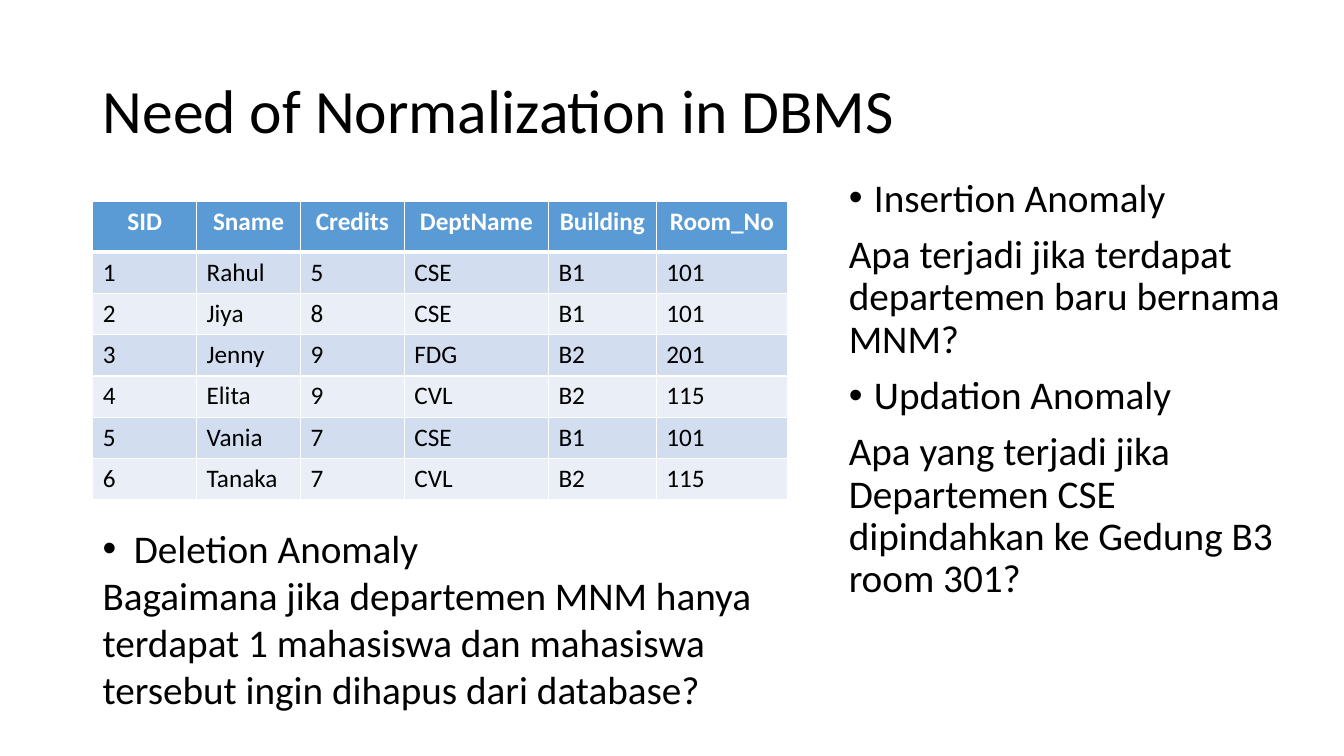
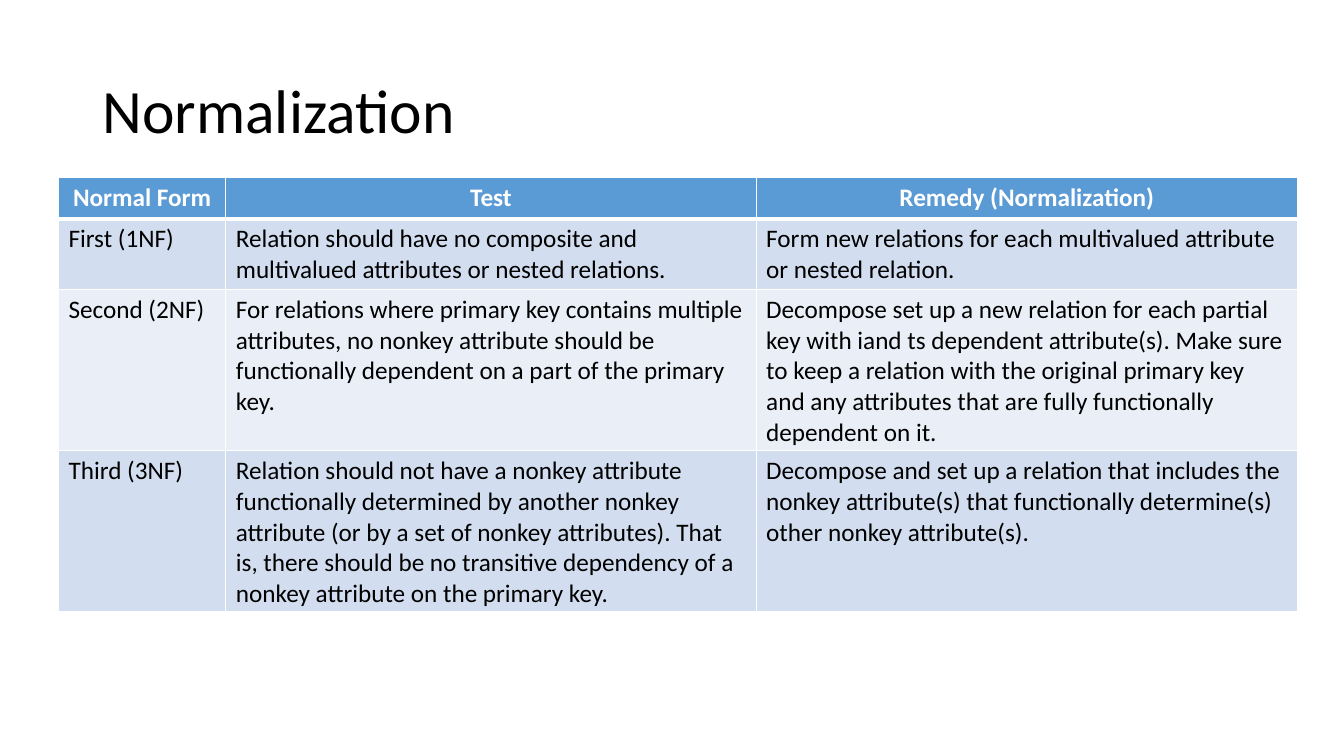
from lxml import etree
from pptx import Presentation
from pptx.dml.color import RGBColor
from pptx.enum.text import MSO_ANCHOR, MSO_AUTO_SIZE, PP_ALIGN
from pptx.oxml.ns import qn
from pptx.util import Inches, Pt

CENTER, LEFT = PP_ALIGN.CENTER, PP_ALIGN.LEFT
MIDDLE, TOP = MSO_ANCHOR.MIDDLE, MSO_ANCHOR.TOP
GROW, FIXED = MSO_AUTO_SIZE.SHAPE_TO_FIT_TEXT, MSO_AUTO_SIZE.NONE

COLORS = {
    "text": "000000",
    "white": "FFFFFF",
    "header": "5B9BD5",
    "odd_row": "D2DEEF",
    "even_row": "EAEFF7",
}
FONT = "Calibri"
TITLE_AREA = (0.92, 0.4, 11.5, 1.45)
TITLE_FORMAT = {"line_spacing": 0.9}
BODY_FORMAT = {"line_spacing": 0.9, "space_before": Pt(10)}
ROW_HEIGHT = 0.41

STUDENTS = [
    ("SID", "Sname", "Credits", "DeptName", "Building", "Room_No"),
    ("1", "Rahul", "5", "CSE", "B1", "101"),
    ("2", "Jiya", "8", "CSE", "B1", "101"),
    ("3", "Jenny", "9", "FDG", "B2", "201"),
    ("4", "Elita", "9", "CVL", "B2", "115"),
    ("5", "Vania", "7", "CSE", "B1", "101"),
    ("6", "Tanaka", "7", "CVL", "B2", "115"),
]
NORMAL_FORMS = [
    ("Normal Form", "Test", "Remedy (Normalization)"),
    (
        "First (1NF)",
        "Relation should have no composite and multivalued attributes or nested relations.",
        "Form new relations for each multivalued attribute or nested relation.",
    ),
    (
        "Second (2NF)",
        "For relations where primary key contains multiple attributes, no nonkey attribute "
        "should be functionally dependent on a part of the primary key.",
        "Decompose set up a new relation for each partial key with iand ts dependent "
        "attribute(s). Make sure to keep a relation with the original primary key and any "
        "attributes that are fully functionally\ndependent on it.",
    ),
    (
        "Third (3NF)",
        "Relation should not have a nonkey attribute functionally determined by another "
        "nonkey attribute (or by a set of nonkey attributes). That is, there should be no "
        "transitive dependency of a nonkey attribute on the primary key.",
        "Decompose and set up a relation that includes the nonkey attribute(s) that "
        "functionally determine(s) other nonkey attribute(s).",
    ),
]
# Each entry is (text, has a bullet).
INSERT_AND_UPDATE = [
    ("Insertion Anomaly", True),
    ("Apa terjadi jika terdapat departemen baru bernama MNM?", False),
    ("Updation Anomaly", True),
    ("Apa yang terjadi jika Departemen CSE dipindahkan ke Gedung B3 room 301?", False),
]
DELETE = [
    ("Deletion Anomaly", True),
    ("Bagaimana jika departemen MNM hanya terdapat 1 mahasiswa dan mahasiswa "
     "tersebut ingin dihapus dari database?", False),
]


def set_attributes(target, values):
    for name, value in values.items():
        setattr(target, name, value)


def add_span(para, text, size, color="text", bold=False):
    span = para.add_run()
    span.text = text
    set_attributes(span.font, {"name": FONT, "size": Pt(size), "bold": bold})
    span.font.color.rgb = RGBColor.from_string(COLORS[color])


def add_bullet(para, indent):
    properties = para._p.get_or_add_pPr()
    properties.set("marL", str(Inches(indent)))
    properties.set("indent", str(-Inches(indent)))
    font = etree.SubElement(properties, qn("a:buFont"))
    font.set("typeface", "Arial")
    etree.SubElement(properties, qn("a:buChar")).set("char", "•")


def add_text(page, area, entries, size, para_format, indent=0, anchor=TOP, auto_size=FIXED):
    box = page.shapes.add_textbox(*map(Inches, area))
    frame = box.text_frame
    set_attributes(frame, {"word_wrap": True, "auto_size": auto_size,
                           "vertical_anchor": anchor})
    for index, (text, bulleted) in enumerate(entries):
        para = frame.add_paragraph() if index else frame.paragraphs[0]
        set_attributes(para, para_format)
        if bulleted:
            add_bullet(para, indent)
        add_span(para, text, size)


def add_border(cell, side, width):
    line = etree.SubElement(cell._tc.get_or_add_tcPr(), qn(f"a:ln{side}"))
    line.set("w", str(Pt(width)))
    fill = etree.SubElement(line, qn("a:solidFill"))
    etree.SubElement(fill, qn("a:srgbClr")).set("val", COLORS["white"])


def fill_cell(cell, text, row):
    is_header = row == 0
    widths = {"L": 1, "R": 1, "T": 3 if row == 1 else 1, "B": 3 if is_header else 1}
    for side, width in widths.items():
        add_border(cell, side, width)
    fill = "header" if is_header else "odd_row" if row % 2 else "even_row"
    cell.fill.solid()
    cell.fill.fore_color.rgb = RGBColor.from_string(COLORS[fill])
    for index, line in enumerate(text.split("\n")):
        frame = cell.text_frame
        para = frame.add_paragraph() if index else frame.paragraphs[0]
        para.alignment = CENTER if is_header else LEFT
        add_span(para, line, 18, "white" if is_header else "text", is_header)


def add_banded_table(page, left, top, widths, records, header_height=ROW_HEIGHT):
    heights = [header_height] + [ROW_HEIGHT] * (len(records) - 1)
    area = (left, top, sum(widths), sum(heights))
    table = page.shapes.add_table(len(records), len(widths), *map(Inches, area)).table
    set_attributes(table, {"first_row": False, "horz_banding": False})
    for column, width in zip(table.columns, widths):
        column.width = Inches(width)
    for row, (record, height) in enumerate(zip(records, heights)):
        table.rows[row].height = Inches(height)
        for column, text in enumerate(record):
            fill_cell(table.cell(row, column), text, row)


def add_page(deck, title):
    page = deck.slides.add_slide(deck.slide_layouts[6])
    add_text(page, TITLE_AREA, [(title, False)], 44, TITLE_FORMAT, anchor=MIDDLE)
    return page


def build_anomalies(deck):
    page = add_page(deck, "Need of Normalization in DBMS")
    add_banded_table(page, 0.92, 2, (1.03, 1.03, 1.03, 1.43, 1.07, 1.3), STUDENTS, 0.5)
    add_text(page, (8.32, 1.72, 4.77, 5.06), INSERT_AND_UPDATE, 28, BODY_FORMAT, 0.25)
    add_text(page, (0.92, 5.15, 6.67, 2.46), DELETE, 28, {}, 0.31, auto_size=GROW)


def build_normal_forms(deck):
    page = add_page(deck, "Normalization")
    add_banded_table(page, 0.58, 1.76, (1.66, 5.26, 5.37), NORMAL_FORMS)


def main():
    deck = Presentation()
    set_attributes(deck, {"slide_width": Inches(13.33), "slide_height": Inches(7.5)})
    build_anomalies(deck)
    build_normal_forms(deck)
    deck.save("out.pptx")


if __name__ == "__main__":
    main()
